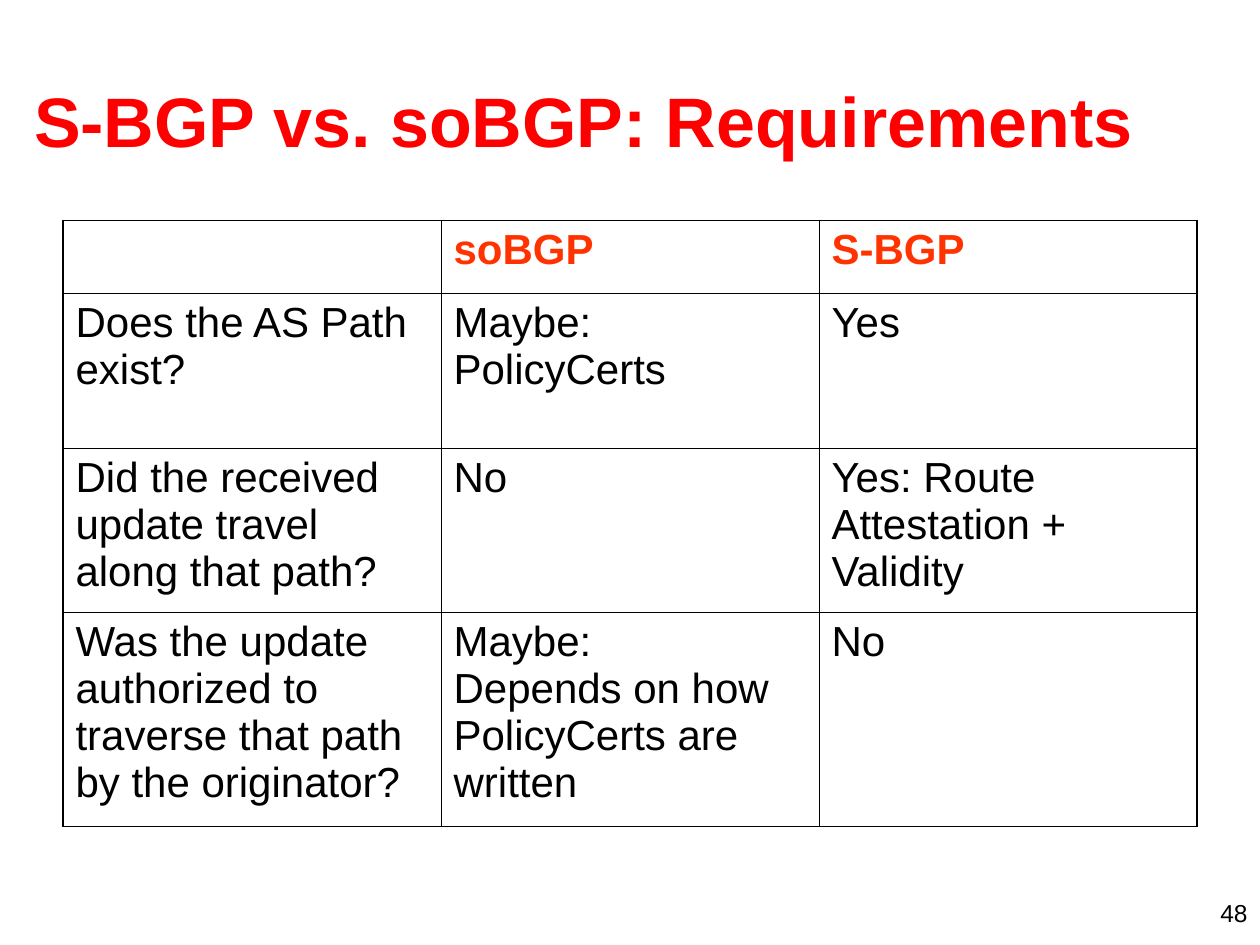
from lxml import etree
from pptx import Presentation
from pptx.dml.color import RGBColor
from pptx.enum import text
from pptx.oxml import ns
from pptx.util import Inches, Pt

ROWS = [
    ["", "soBGP", "S-BGP"],
    ["Does the AS Path exist?", "Maybe: PolicyCerts", "Yes"],
    ["Did the received update travel along that path?", "No",
     "Yes: Route Attestation + Validity"],
    ["Was the update authorized to traverse that path by the originator?",
     "Maybe:\vDepends on how PolicyCerts are written", "No"],
]
ROW_HEIGHTS = [0.58, 1.23, 1.3, 1.7]
OUTER_BORDER, INNER_BORDER = Pt(1.08), Pt(0.45)


def color(hex_string):
    return RGBColor.from_string(hex_string)


def write(text_frame, words, size, hex_color, bold=False, align=text.PP_ALIGN.LEFT):
    text_frame.word_wrap = True
    text_frame.text = words
    for paragraph in text_frame.paragraphs:
        paragraph.alignment = align
        for font in [paragraph.font] + [run.font for run in paragraph.runs]:
            font.name, font.size, font.bold = "Arial", Pt(size), bold
            font.color.rgb = color(hex_color)


def add_border(cell, side, width):
    """Draw one black side of a cell; sides must come in the order L, R, T, B."""
    properties = cell._tc.get_or_add_tcPr()
    line = etree.Element(ns.qn(f"a:ln{side}"), w=str(int(width)))
    fill = etree.SubElement(line, ns.qn("a:solidFill"))
    etree.SubElement(fill, ns.qn("a:srgbClr"), val="000000")
    properties.append(line)


def add_title(slide, left, top, width, height):
    title = slide.shapes.title
    title.left, title.top, title.width, title.height = left, top, width, height
    title.text_frame.vertical_anchor = text.MSO_ANCHOR.MIDDLE
    write(title.text_frame, "S-BGP vs. soBGP: Requirements", 40, "FF0000", bold=True)


def add_requirements_table(slide, left, top, width):
    row_count, column_count = len(ROWS), len(ROWS[0])
    height = Inches(sum(ROW_HEIGHTS))
    table = slide.shapes.add_table(
        row_count, column_count, left, top, width, height).table
    table.first_row = table.horz_banding = False
    for column in table.columns:
        column.width = width // column_count
    for i, (row, row_height) in enumerate(zip(table.rows, ROW_HEIGHTS)):
        row.height = Inches(row_height)
        for j, cell in enumerate(row.cells):
            is_header = i == 0
            write(cell.text_frame, ROWS[i][j], 24,
                  "FF3300" if is_header else "000000", bold=is_header)
            outer_sides = {"L": j == 0, "R": j == column_count - 1,
                           "T": i == 0, "B": i == row_count - 1}
            for side, is_outer in outer_sides.items():
                add_border(cell, side, OUTER_BORDER if is_outer else INNER_BORDER)
            cell.fill.background()


def add_page_number(slide, left, top, width, height):
    box = slide.shapes.add_textbox(left, top, width, height)
    write(box.text_frame, "48", 14, "000000", align=text.PP_ALIGN.RIGHT)


def main():
    presentation = Presentation()
    presentation.slide_width, presentation.slide_height = Inches(10), Inches(7.5)
    slide = presentation.slides.add_slide(presentation.slide_layouts[5])
    slide.background.fill.solid()
    slide.background.fill.fore_color.rgb = color("FFFFFF")
    add_title(slide, Inches(0.17), Inches(0.32), Inches(9.58), Inches(1.25))
    add_requirements_table(slide, Inches(0.5), Inches(1.75), Inches(9))
    add_page_number(slide, Inches(7.67), Inches(7.08), Inches(2.33), Inches(0.25))
    presentation.save("out.pptx")


if __name__ == "__main__":
    main()
